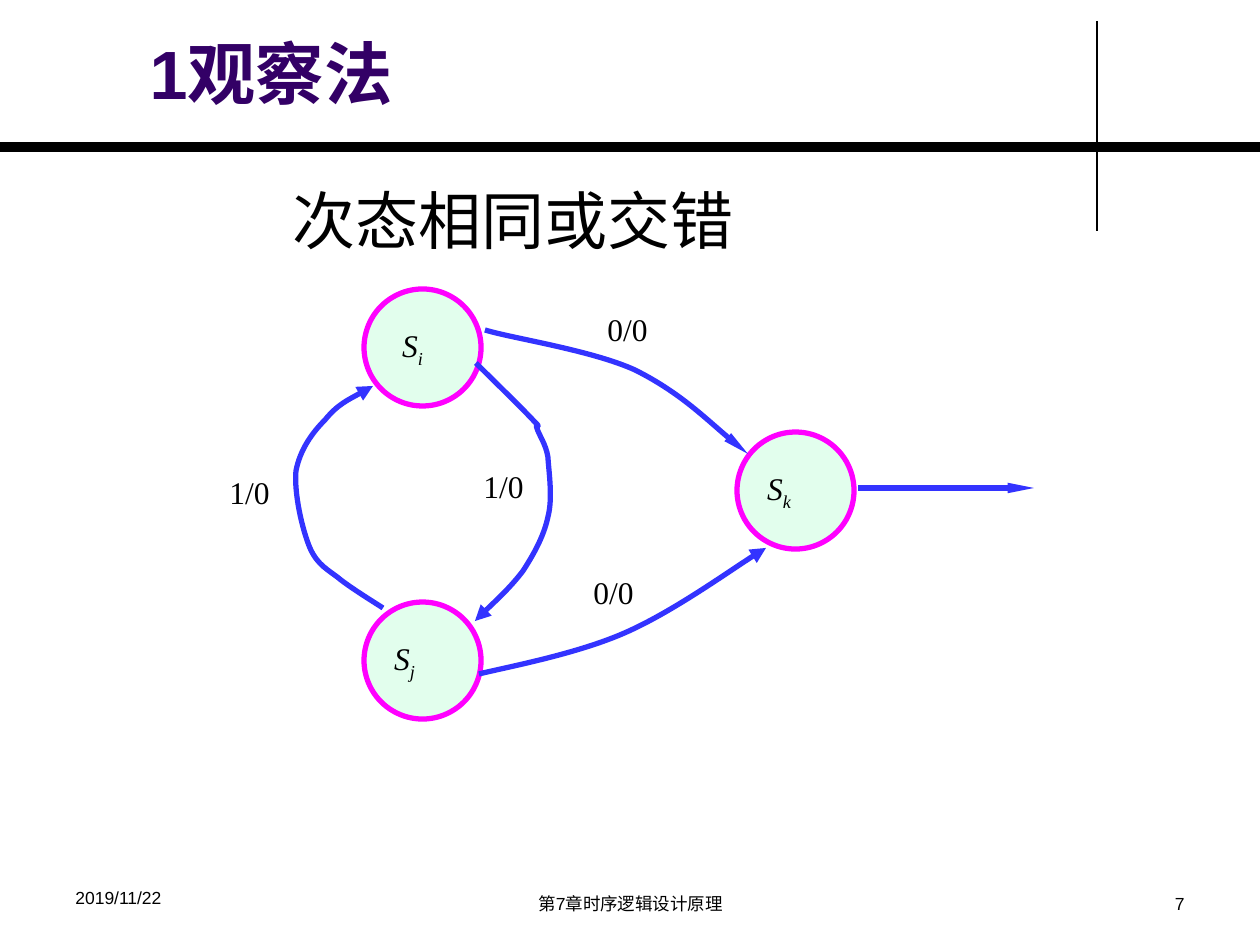
from lxml import etree
from pptx import Presentation
from pptx.dml.color import RGBColor
from pptx.enum.shapes import MSO_CONNECTOR, MSO_SHAPE
from pptx.enum.text import MSO_ANCHOR, MSO_AUTO_SIZE, PP_ALIGN
from pptx.oxml.ns import qn
from pptx.util import Pt

PX = 914400 / 126
STRAIGHT, OVAL = MSO_CONNECTOR.STRAIGHT, MSO_SHAPE.OVAL
TOP, MIDDLE = MSO_ANCHOR.TOP, MSO_ANCHOR.MIDDLE
LEFT, CENTER, RIGHT = PP_ALIGN.LEFT, PP_ALIGN.CENTER, PP_ALIGN.RIGHT
NO_AUTOSIZE = MSO_AUTO_SIZE.NONE

BLACK = RGBColor(0x00, 0x00, 0x00)
PURPLE = RGBColor(0x33, 0x00, 0x66)
MINT = RGBColor(0xE2, 0xFE, 0xED)
MAGENTA = RGBColor(0xFF, 0x00, 0xFF)
BLUE = RGBColor(0x33, 0x33, 0xFF)

TITLE_FONT = {"name": "Arial", "size": Pt(39), "bold": True}
HEADING_FONT = {"name": "Times New Roman", "size": Pt(36)}
LABEL_FONT = {"name": "Times New Roman", "size": Pt(18)}
STATE_FONT = {**LABEL_FONT, "italic": True}
FOOTER_FONT = {"name": "Arial", "size": Pt(10)}

STATE_SIZE = 117
LABEL_SIZE = (88, 72)
MEDIUM_HEAD = {"w": "med", "len": "med"}
SLIM_HEAD = {"w": "sm", "len": "lg"}

# Left, top, subscript, left margin of the name
STATES = [(364, 289, "i", 21), (364, 602, "j", 13), (737, 432, "k", 13)]

# Input/output labels: left, top, text
LABELS = [(595, 304, "0/0"), (581, 567, "0/0"), (217, 467, "1/0"), (471, 461, "1/0")]

# Transitions: a start point, then three points for each Bézier segment
TRANSITIONS = [
    # Sj to Sk
    (MEDIUM_HEAD, [(479, 674), (508, 667), (572, 655), (620, 635),
                   (668, 615), (742, 562), (766, 548)]),
    # Sj to Si
    (MEDIUM_HEAD, [(383, 608), (377, 604), (354, 590), (341, 580),
                   (329, 570), (318, 566), (310, 548),
                   (302, 529), (294, 493), (296, 471),
                   (300, 450), (312, 433), (325, 420),
                   (338, 404), (363, 392), (373, 386)]),
    # Si to Sj
    (MEDIUM_HEAD, [(476, 363), (486, 373), (524, 410), (534, 421),
                   (544, 431), (534, 422), (537, 428),
                   (539, 435), (546, 444), (548, 457),
                   (549, 473), (553, 498), (548, 517),
                   (544, 536), (534, 554), (523, 571),
                   (510, 588), (485, 611), (475, 621)]),
    # Si to Sk
    (SLIM_HEAD, [(485, 330), (510, 338), (591, 350), (635, 370),
                 (679, 392), (725, 436), (748, 454)]),
]


def px(*lengths):
    return [round(length * PX) for length in lengths]


def add_run(paragraph, text, font, color=BLACK):
    run = paragraph.add_run()
    run.text = text
    for name, value in font.items():
        setattr(run.font, name, value)
    run.font.color.rgb = color
    return run


def format_frame(frame, **values):
    for name, value in values.items():
        setattr(frame, name, value)


def add_title(slide, text):
    title = slide.shapes.title
    title.left, title.top, title.width, title.height = px(137, 25, 951, 102)
    format_frame(title.text_frame, vertical_anchor=TOP, word_wrap=True,
                 auto_size=NO_AUTOSIZE)
    paragraph = title.text_frame.paragraphs[0]
    paragraph.alignment = LEFT
    add_run(paragraph, text, TITLE_FONT, PURPLE)


def add_text(slide, box, text, font, alignment=LEFT, wrap=False):
    frame = slide.shapes.add_textbox(*px(*box)).text_frame
    format_frame(frame, word_wrap=wrap, vertical_anchor=TOP)
    paragraph = frame.paragraphs[0]
    paragraph.alignment = alignment
    add_run(paragraph, text, font)


def add_state(slide, left, top, subscript, margin):
    circle = slide.shapes.add_shape(OVAL, *px(left, top, STATE_SIZE, STATE_SIZE))
    circle.shadow.inherit = False
    circle.fill.solid()
    circle.fill.fore_color.rgb = MINT
    circle.line.color.rgb = MAGENTA
    circle.line.width = Pt(3)
    format_frame(circle.text_frame, word_wrap=False, vertical_anchor=MIDDLE,
                 margin_left=px(margin)[0])
    paragraph = circle.text_frame.paragraphs[0]
    paragraph.alignment = LEFT
    add_run(paragraph, "S", STATE_FONT)
    run = add_run(paragraph, subscript, STATE_FONT)
    run._r.get_or_add_rPr().set("baseline", "-25000")


def add_arrowhead(shape, head):
    line = shape.line._get_or_add_ln()
    etree.SubElement(line, qn("a:tailEnd"), type="triangle", **head)


def add_line(slide, start, end, width, color=BLACK):
    line = slide.shapes.add_connector(STRAIGHT, *px(*start, *end))
    line.line.color.rgb = color
    line.line.width = Pt(width)
    etree.SubElement(line.element.spPr, qn("a:effectLst"))
    return line


def add_curve(slide, points, head):
    builder = slide.shapes.build_freeform(*points[0], scale=PX)
    builder.add_line_segments(points[1:], close=False)
    curve = builder.convert_to_shape()
    curve.shadow.inherit = False
    curve.fill.background()
    curve.line.color.rgb = BLUE
    curve.line.width = Pt(3)
    add_arrowhead(curve, head)
    # Each three straight segments become one Bézier segment
    segments = list(curve.element.iter(qn("a:lnTo")))
    for index in range(0, len(segments), 3):
        first, *others = segments[index:index + 3]
        first.tag = qn("a:cubicBezTo")
        for segment in others:
            first.append(segment[0])
            segment.getparent().remove(segment)


def main():
    presentation = Presentation()
    presentation.slide_width, presentation.slide_height = px(1260, 945)
    slide = presentation.slides.add_slide(presentation.slide_layouts[5])

    # Frame lines, title and heading
    add_line(slide, (1097, 21), (1097, 231), 0.75)
    add_line(slide, (0, 147), (1260, 147), 6)
    add_title(slide, "1观察法")
    add_text(slide, (280, 175, 471, 89), "次态相同或交错", HEADING_FONT)

    # State diagram
    for state in STATES:
        add_state(slide, *state)
    for head, points in TRANSITIONS:
        add_curve(slide, points, head)
    output = add_line(slide, (858, 488), (1034, 488), 3, BLUE)
    add_arrowhead(output, SLIM_HEAD)
    for left, top, text in LABELS:
        add_text(slide, (left, top, *LABEL_SIZE), text, LABEL_FONT)

    # Footer
    add_text(slide, (63, 881, 294, 43), "2019/11/22", FOOTER_FONT, wrap=True)
    add_text(slide, (431, 887, 399, 37), "第7章时序逻辑设计原理", FOOTER_FONT,
             CENTER, wrap=True)
    add_text(slide, (903, 887, 294, 37), "7", FOOTER_FONT, RIGHT, wrap=True)

    presentation.save("out.pptx")


if __name__ == "__main__":
    main()
